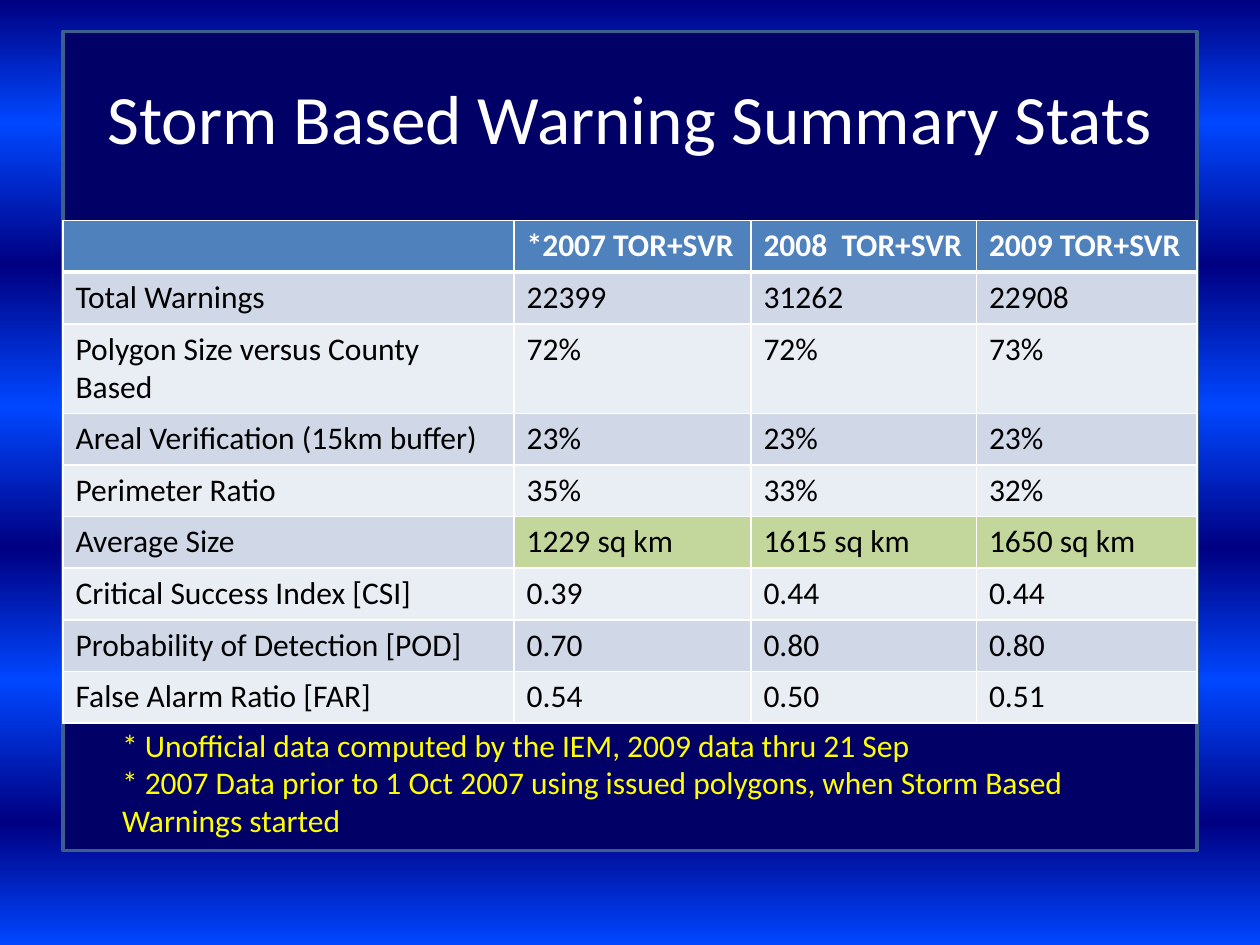
from lxml.etree import SubElement
from pptx import Presentation
from pptx.dml.color import RGBColor
from pptx.enum.shapes import MSO_SHAPE
from pptx.enum.text import MSO_ANCHOR, PP_ALIGN
from pptx.oxml.ns import qn
from pptx.util import Inches, Pt

TITLE = "Storm Based Warning Summary Stats"
ROWS = [
    ("", "*2007 TOR+SVR", "2008  TOR+SVR", "2009 TOR+SVR"),
    ("Total Warnings", "22399", "31262", "22908"),
    ("Polygon Size versus County Based", "72%", "72%", "73%"),
    ("Areal Verification (15km buffer)", "23%", "23%", "23%"),
    ("Perimeter Ratio", "35%", "33%", "32%"),
    ("Average Size", "1229 sq km", "1615 sq km", "1650 sq km"),
    ("Critical Success Index [CSI]", "0.39", "0.44", "0.44"),
    ("Probability of Detection [POD]", "0.70", "0.80", "0.80"),
    ("False Alarm Ratio [FAR]", "0.54", "0.50", "0.51"),
]
NOTES = [
    "* Unofficial data computed by the IEM, 2009 data thru 21 Sep",
    "* 2007 Data prior to 1 Oct 2007 using issued polygons, when Storm Based",
    "Warnings started",
]
COL_WIDTHS = [3.58, 1.88, 1.79, 1.75]
ROW_HEIGHT = 0.41
STOPS = [0, 13, 28, 43, 58, 72, 87, 100]
STOP_COLORS = ["000082", "0047FF"]
BANDS = ["E9EDF4", "D0D8E8"]
HEADER, HIGHLIGHT = "4F81BD", "C3D69B"
HIGHLIGHT_ROW = 5


def color(value):
    return RGBColor.from_string(value)


def place(shape, left, top, width, height):
    shape.left, shape.top = Inches(left), Inches(top)
    shape.width, shape.height = Inches(width), Inches(height)


def add_run(p, text, size, hex_color, bold=False):
    r = p.add_run()
    r.text = text
    r.font.name = "Calibri"
    r.font.size = Pt(size)
    r.font.bold = bold
    r.font.color.rgb = color(hex_color)


def set_background(s):
    fill = s.background.fill
    fill.gradient()
    fill.gradient_angle = 270
    stops = s.element.find(".//" + qn("a:gsLst"))
    for stop in list(stops):
        stops.remove(stop)
    for i, position in enumerate(STOPS):
        stop = SubElement(stops, qn("a:gs"), pos=str(position * 1000))
        SubElement(stop, qn("a:srgbClr"), val=STOP_COLORS[i % 2])


def set_borders(cell, top, bottom):
    tc_pr = cell._tc.get_or_add_tcPr()
    for side, width in (("L", 1), ("R", 1), ("T", top), ("B", bottom)):
        line = SubElement(tc_pr, qn("a:ln" + side), w=str(Pt(width)))
        fill = SubElement(line, qn("a:solidFill"))
        SubElement(fill, qn("a:srgbClr"), val="FFFFFF")


def cell_fill(row, col):
    if row == 0:
        return HEADER
    if row == HIGHLIGHT_ROW and col > 0:
        return HIGHLIGHT
    return BANDS[row % 2]


def add_stats_table(s):
    frame = s.shapes.add_table(
        len(ROWS), len(COL_WIDTHS), Inches(0.5), Inches(1.75),
        Inches(sum(COL_WIDTHS)), Inches(ROW_HEIGHT * len(ROWS)))
    table = frame.table
    for column, width in zip(table.columns, COL_WIDTHS):
        column.width = Inches(width)
    for i, values in enumerate(ROWS):
        table.rows[i].height = Inches(ROW_HEIGHT)
        for j, text in enumerate(values):
            cell = table.cell(i, j)
            set_borders(cell, 3 if i == 1 else 1, 3 if i == 0 else 1)
            cell.fill.solid()
            cell.fill.fore_color.rgb = color(cell_fill(i, j))
            p = cell.text_frame.paragraphs[0]
            if text:
                add_run(p, text, 18, "000000" if i else "FFFFFF", i == 0)
            else:
                p.font.size = Pt(18)


def main():
    prs = Presentation()
    prs.slide_width, prs.slide_height = Inches(10), Inches(7.5)
    s = prs.slides.add_slide(prs.slide_layouts[5])
    set_background(s)

    panel = s.shapes.add_shape(
        MSO_SHAPE.RECTANGLE, Inches(0.5), Inches(0.25), Inches(9), Inches(6.5))
    panel.shadow.inherit = False
    panel.fill.solid()
    panel.fill.fore_color.rgb = color("000066")
    panel.line.color.rgb = color("3A5F8C")
    panel.line.width = Pt(2)

    title = s.shapes.title
    panel.element.addnext(title.element)
    place(title, 0.5, 0.3, 9, 1.25)
    tf = title.text_frame
    tf.vertical_anchor = MSO_ANCHOR.MIDDLE
    p = tf.paragraphs[0]
    p.alignment = PP_ALIGN.CENTER
    add_run(p, TITLE, 39.6, "FFFFFF")

    add_stats_table(s)

    box = s.shapes.add_textbox(
        Inches(0.87), Inches(5.71), Inches(7.82), Inches(1.01))
    tf = box.text_frame
    tf.word_wrap = False
    for i, note in enumerate(NOTES):
        p = tf.add_paragraph() if i else tf.paragraphs[0]
        add_run(p, note, 18, "FFFF00")

    prs.save("out.pptx")


if __name__ == "__main__":
    main()
